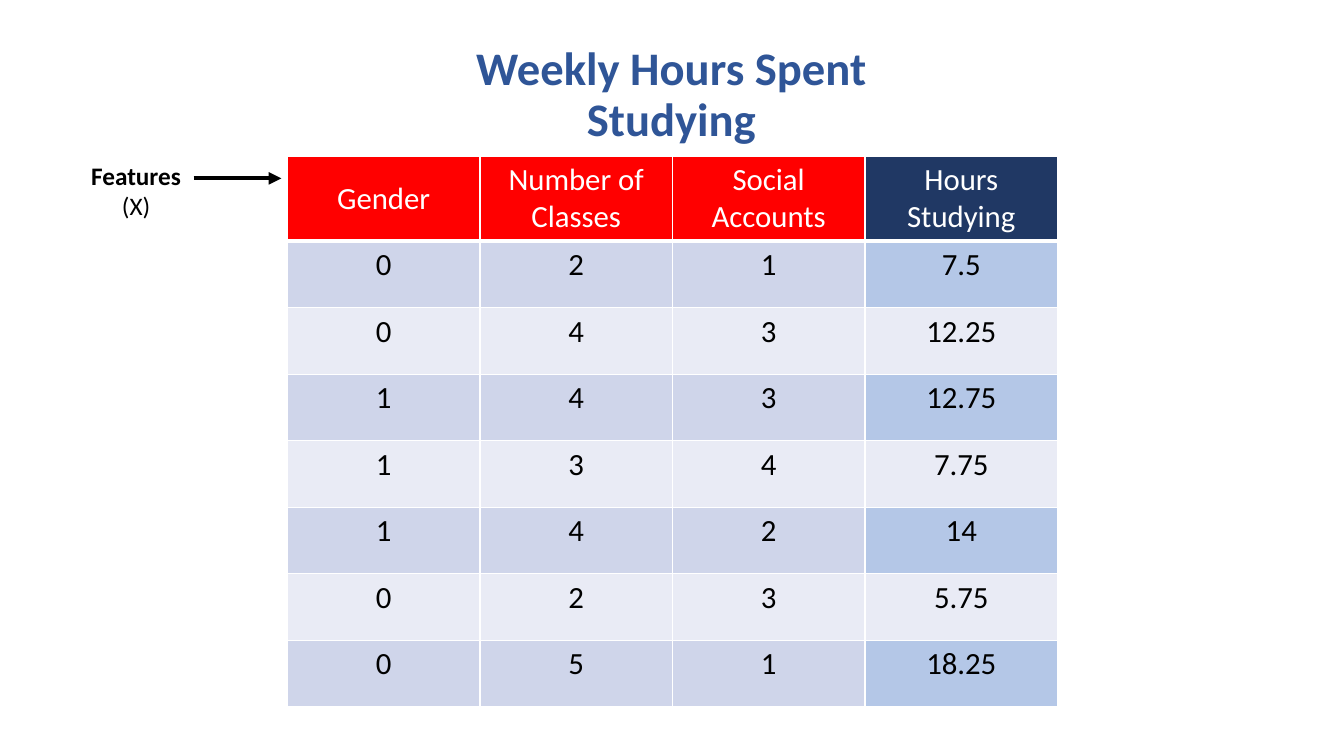
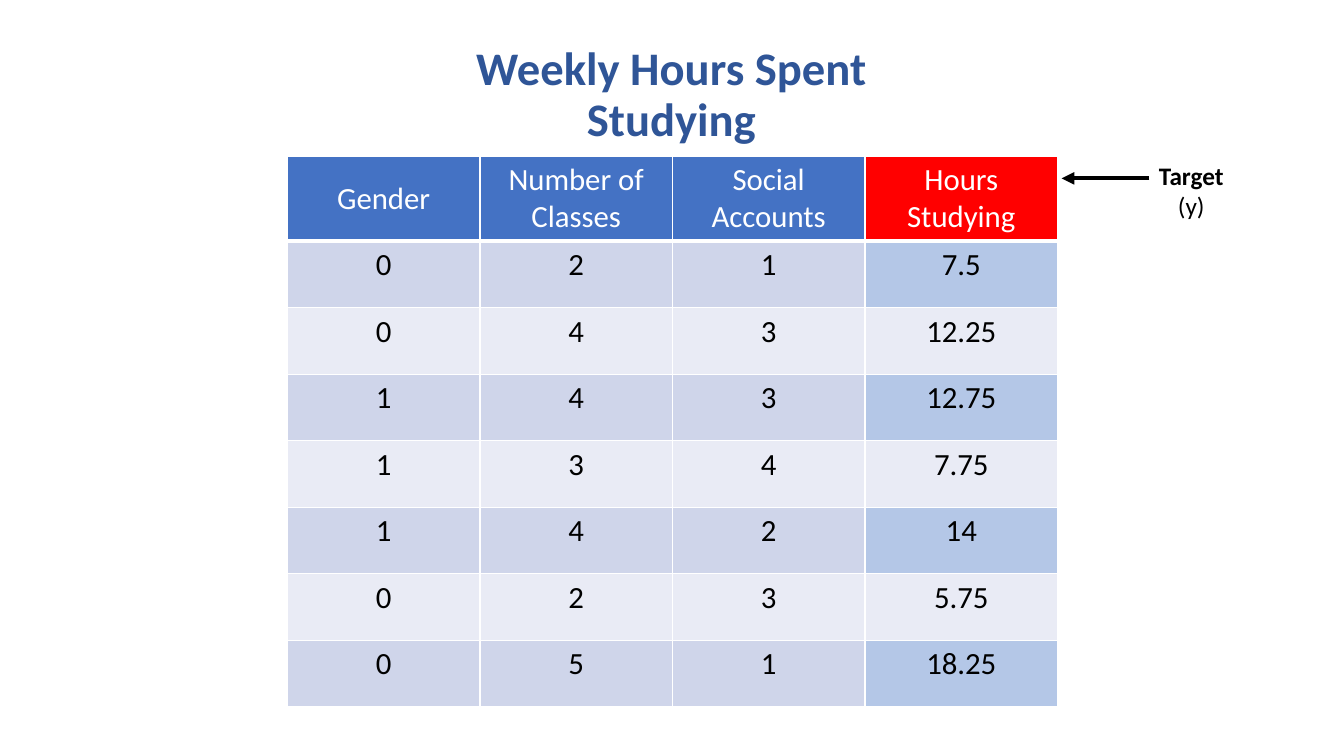
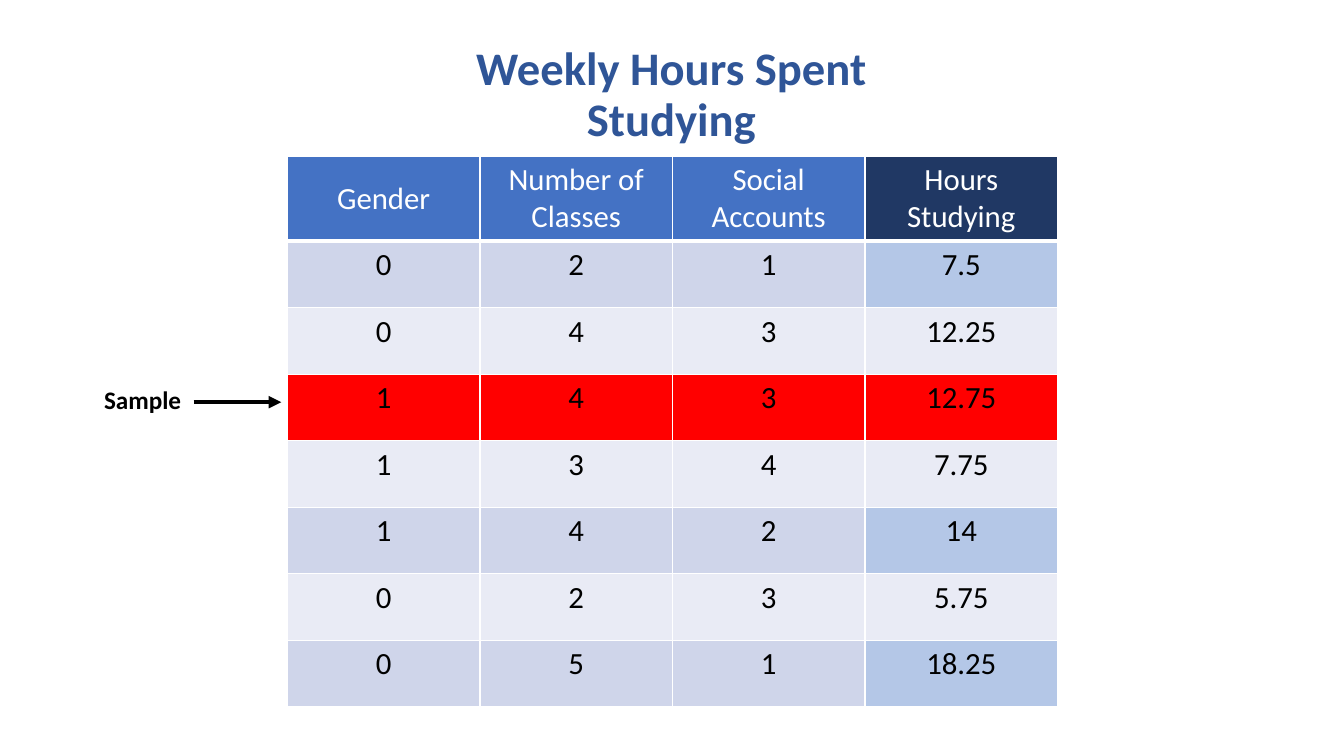
from lxml import etree
from pptx import Presentation
from pptx.dml.color import RGBColor
from pptx.enum.shapes import MSO_CONNECTOR
from pptx.enum.text import MSO_ANCHOR, MSO_AUTO_SIZE, PP_ALIGN
from pptx.oxml.ns import qn
from pptx.util import Inches, Pt

CENTER = PP_ALIGN.CENTER
MIDDLE = MSO_ANCHOR.MIDDLE
FIT_SHAPE = MSO_AUTO_SIZE.SHAPE_TO_FIT_TEXT
STRAIGHT = MSO_CONNECTOR.STRAIGHT

# Data
HEADERS = ["Gender", "Number of Classes", "Social\nAccounts", "Hours\nStudying"]
STUDENTS = [
    (0, 2, 1, 7.5),
    (0, 4, 3, 12.25),
    (1, 4, 3, 12.75),
    (1, 3, 4, 7.75),
    (1, 4, 2, 14),
    (0, 2, 3, 5.75),
    (0, 5, 1, 18.25),
]
TARGET_COL = len(HEADERS) - 1


def rgb(value):
    return RGBColor.from_string(value)


class Deck:
    FONT = "Calibri"
    TITLE = "2F5597"
    BLACK, WHITE = "000000", "FFFFFF"
    HIGHLIGHT = "FF0000"
    HEADER, TARGET_HEADER = "4472C4", "203864"
    BAND, TARGET_BAND, PLAIN = "CFD5EA", "B4C7E7", "E9EBF5"
    COL_WIDTH, HEADER_HEIGHT, ROW_HEIGHT = 1.91, 0.84, 0.66

    def __init__(self):
        self.prs = Presentation()
        self.prs.slide_width = Inches(13.33)
        self.prs.slide_height = Inches(7.5)
        self.s = None

    def add_slide(self):
        self.s = self.prs.slides.add_slide(self.prs.slide_layouts[6])

    def style(self, p, size, color, bold=False):
        p.alignment = CENTER
        p.font.name = self.FONT
        p.font.size = Pt(size)
        p.font.bold = bold
        p.font.color.rgb = rgb(color)

    def title(self, text):
        sp = self.s.shapes.add_textbox(Inches(3.9), Inches(0.49), Inches(5.52), Inches(0.92))
        tf = sp.text_frame
        tf.word_wrap = True
        tf.vertical_anchor = MIDDLE
        tf.text = text
        p = tf.paragraphs[0]
        p.line_spacing = 0.9
        self.style(p, 33.3, self.TITLE, bold=True)

    def cell_fill(self, row, col):
        is_target = col == TARGET_COL
        if row == 0:
            return self.TARGET_HEADER if is_target else self.HEADER
        if row % 2 == 0:
            return self.PLAIN
        return self.TARGET_BAND if is_target else self.BAND

    def borders(self, cell, row):
        tc_pr = cell._tc.get_or_add_tcPr()
        widths = {"lnL": 1, "lnR": 1, "lnT": 3 if row == 1 else 1, "lnB": 3 if row == 0 else 1}
        for tag, width in widths.items():
            ln = etree.SubElement(tc_pr, qn(f"a:{tag}"), w=str(Pt(width)))
            fill = etree.SubElement(ln, qn("a:solidFill"))
            etree.SubElement(fill, qn("a:srgbClr"), val=self.WHITE)

    def table(self, highlighted):
        rows = [HEADERS, *STUDENTS]
        height = self.HEADER_HEIGHT + self.ROW_HEIGHT * len(STUDENTS)
        table = self.s.shapes.add_table(
            len(rows), len(HEADERS), Inches(2.85), Inches(1.55),
            Inches(self.COL_WIDTH * len(HEADERS)), Inches(height)).table
        table.horz_banding = False
        for i, values in enumerate(rows):
            table.rows[i].height = Inches(self.ROW_HEIGHT if i else self.HEADER_HEIGHT)
            for j, value in enumerate(values):
                cell = table.cell(i, j)
                cell.text = str(value)
                for p in cell.text_frame.paragraphs:
                    self.style(p, 22, self.BLACK if i else self.WHITE)
                self.borders(cell, i)
                cell.fill.solid()
                color = self.HIGHLIGHT if (i, j) in highlighted else self.cell_fill(i, j)
                cell.fill.fore_color.rgb = rgb(color)
        # Extra leading centres the one-line heading
        table.cell(0, 0).text_frame.paragraphs[0].line_spacing = 1.5

    def label(self, lines, left, top, width):
        height = 0.4 if len(lines) == 1 else 0.71
        sp = self.s.shapes.add_textbox(Inches(left), Inches(top), Inches(width), Inches(height))
        tf = sp.text_frame
        tf.word_wrap = False
        tf.auto_size = FIT_SHAPE
        tf.text = "\n".join(lines)
        for i, p in enumerate(tf.paragraphs):
            self.style(p, 18, self.BLACK, bold=i == 0)

    def arrow(self, start, end, y):
        line = self.s.shapes.add_connector(
            STRAIGHT, Inches(start), Inches(y), Inches(end), Inches(y))
        line.line.color.rgb = rgb(self.BLACK)
        line.line.width = Pt(3)
        sp_pr = line.element.spPr
        etree.SubElement(sp_pr.get_or_add_ln(), qn("a:tailEnd"), type="triangle")
        etree.SubElement(sp_pr, qn("a:effectLst"))


def main():
    deck = Deck()
    columns = range(len(HEADERS))
    to_right, to_left = (1.92, 2.79), (11.4, 10.53)
    # Highlighted cells, label lines, label left, top and width, arrow ends
    slides = [
        ({(0, j) for j in range(TARGET_COL)}, ["Features", "(X)"], 0.8, 1.54, 1.1, to_right),
        ({(0, TARGET_COL)}, ["Target", "(y)"], 11.39, 1.54, 0.85, to_left),
        ({(3, j) for j in columns}, ["Sample"], 0.93, 3.76, 0.97, to_right),
    ]
    for highlighted, lines, left, top, width, ends in slides:
        deck.add_slide()
        deck.table(highlighted)
        deck.title("Weekly Hours Spent Studying")
        deck.label(lines, left, top, width)
        deck.arrow(*ends, top + 0.23)
    deck.prs.save("out.pptx")


if __name__ == "__main__":
    main()
